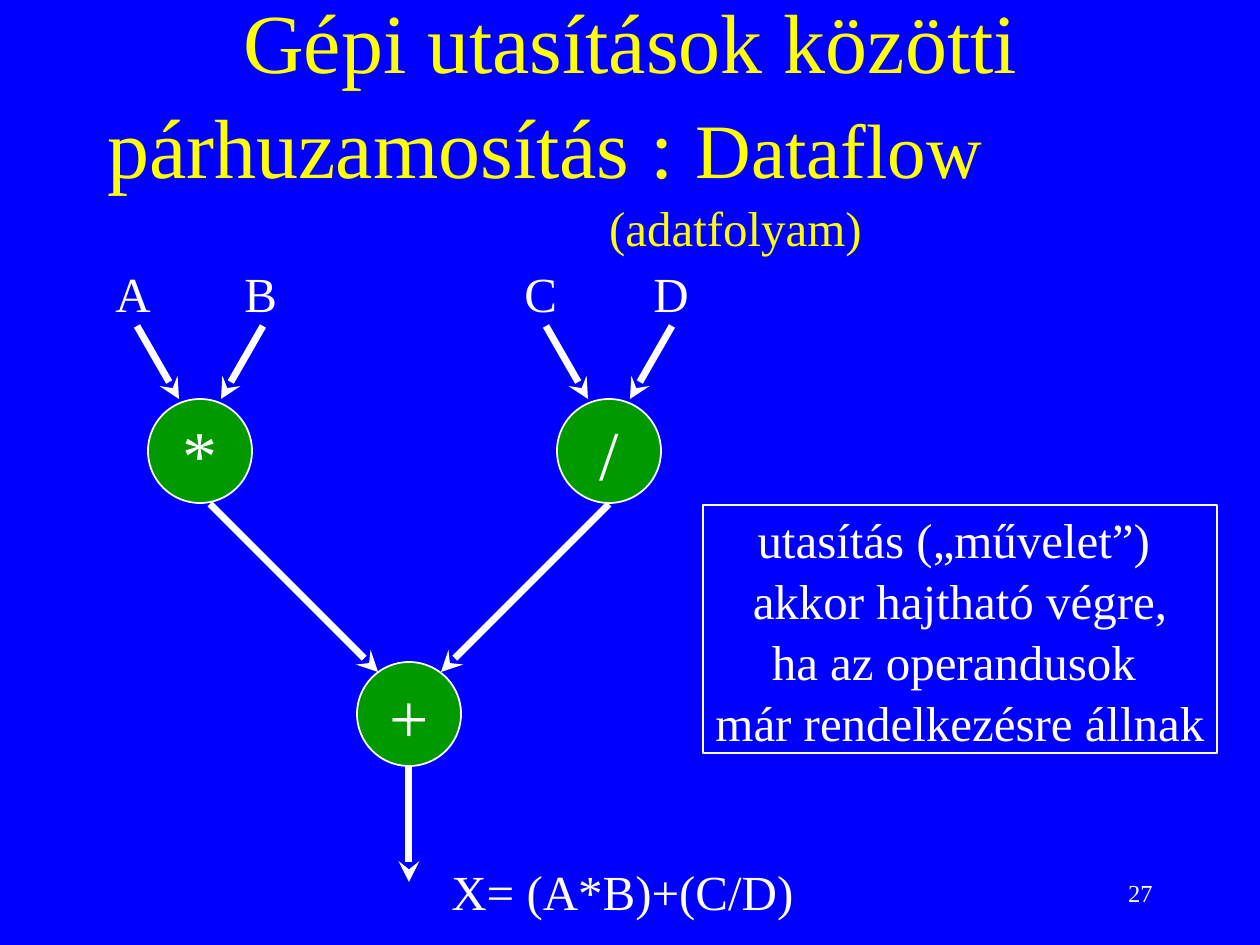
from lxml import etree
from pptx import Presentation
from pptx.dml.color import RGBColor
from pptx.enum import shapes, text
from pptx.oxml import ns
from pptx.util import Emu, Pt

SCALE = 914400 / 126
BLUE, GREEN, WHITE, YELLOW = "0000FF", "009900", "FFFFFF", "FFFF00"


def px(length):
    return Emu(round(length * SCALE))


def color(value):
    return RGBColor.from_string(value)


class Board:
    font = "Times New Roman"
    spacing = 1.04

    def __init__(self, slide):
        self.slide = slide
        fill = slide.background.fill
        fill.solid()
        fill.fore_color.rgb = color(BLUE)

    def add_runs(self, paragraph, runs, ink=WHITE, align=text.PP_ALIGN.LEFT, tabs=()):
        paragraph.alignment = align
        paragraph.line_spacing = self.spacing
        if tabs:
            stops = etree.SubElement(paragraph._p.get_or_add_pPr(), ns.qn("a:tabLst"))
            for stop in tabs:
                etree.SubElement(stops, ns.qn("a:tab"), pos=str(px(stop)), algn="l")
        for words, size in runs:
            run = paragraph.add_run()
            run.text = words
            run.font.name = self.font
            run.font.size = Pt(size)
            run.font.color.rgb = color(ink)

    def title(self, box, runs, tabs):
        heading = self.slide.shapes.title
        heading.left, heading.top, heading.width, heading.height = map(px, box)
        frame = heading.text_frame
        frame.word_wrap = True
        frame.auto_size = text.MSO_AUTO_SIZE.NONE
        frame.vertical_anchor = text.MSO_ANCHOR.MIDDLE
        self.add_runs(frame.paragraphs[0], runs, YELLOW, text.PP_ALIGN.CENTER, tabs)

    def label(self, box, words, size=28, align=text.PP_ALIGN.LEFT, tabs=(),
              anchor=text.MSO_ANCHOR.TOP):
        frame = self.slide.shapes.add_textbox(*map(px, box)).text_frame
        frame.word_wrap = True
        frame.vertical_anchor = anchor
        self.add_runs(frame.paragraphs[0], [(words, size)], align=align, tabs=tabs)

    def shape(self, kind, box, lines, size, fill=None):
        body = self.slide.shapes.add_shape(kind, *map(px, box))
        body.shadow.inherit = False
        if fill:
            body.fill.solid()
            body.fill.fore_color.rgb = color(fill)
        else:
            body.fill.background()
        body.line.color.rgb = color(WHITE)
        body.line.width = Pt(1)
        frame = body.text_frame
        frame.word_wrap = False
        frame.vertical_anchor = text.MSO_ANCHOR.MIDDLE
        for index, words in enumerate(lines):
            paragraph = frame.add_paragraph() if index else frame.paragraphs[0]
            self.add_runs(paragraph, [(words, size)], align=text.PP_ALIGN.CENTER)

    def operator(self, center, top, sign):
        self.shape(shapes.MSO_SHAPE.OVAL, (center - 52, top, 104, 104), [sign], 40, GREEN)

    def arrow(self, *ends):
        flow = self.slide.shapes.add_connector(shapes.MSO_CONNECTOR.STRAIGHT, *map(px, ends))
        flow.line.color.rgb = color(WHITE)
        flow.line.width = Pt(4)
        etree.SubElement(flow.line._get_or_add_ln(), ns.qn("a:tailEnd"), type="stealth")
        etree.SubElement(flow._element.spPr, ns.qn("a:effectLst"))


def main():
    deck = Presentation()
    deck.slide_width, deck.slide_height = px(1260), px(945)
    board = Board(deck.slides.add_slide(deck.slide_layouts[5]))

    board.title(
        (95, 42, 1071, 158),
        [("Gépi utasítások közötti párhuzamosítás : ", 48), ("Dataflow \t", 44),
         ("\t\t\t\t\t", 24), ("(adatfolyam)", 28)],
        [105 * step for step in range(8)],
    )

    for center, sign, operands, start in ((200, "*", "A\tB", 210), (609, "/", "C\tD", 609)):
        board.label((center - 97, 255, 190, 72), operands, tabs=[129])
        board.operator(center, 399, sign)
        for side in (-1, 1):
            board.arrow(center + 63 * side, 326, center + 21 * side, 399)
        board.arrow(start, 504, 378 if center < 409 else 441, 672)

    board.operator(409, 662, "+")
    board.arrow(409, 767, 409, 882)
    board.label((439, 853, 368, 72), "X= (A*B)+(C/D)")

    board.shape(
        shapes.MSO_SHAPE.RECTANGLE, (703, 505, 514, 248),
        ["utasítás („művelet”) ", "akkor hajtható végre,",
         "ha az operandusok ", "már rendelkezésre állnak"], 28,
    )
    board.label((903, 861, 262, 63), "27", 14, text.PP_ALIGN.RIGHT,
                anchor=text.MSO_ANCHOR.MIDDLE)

    deck.save("out.pptx")


if __name__ == "__main__":
    main()
